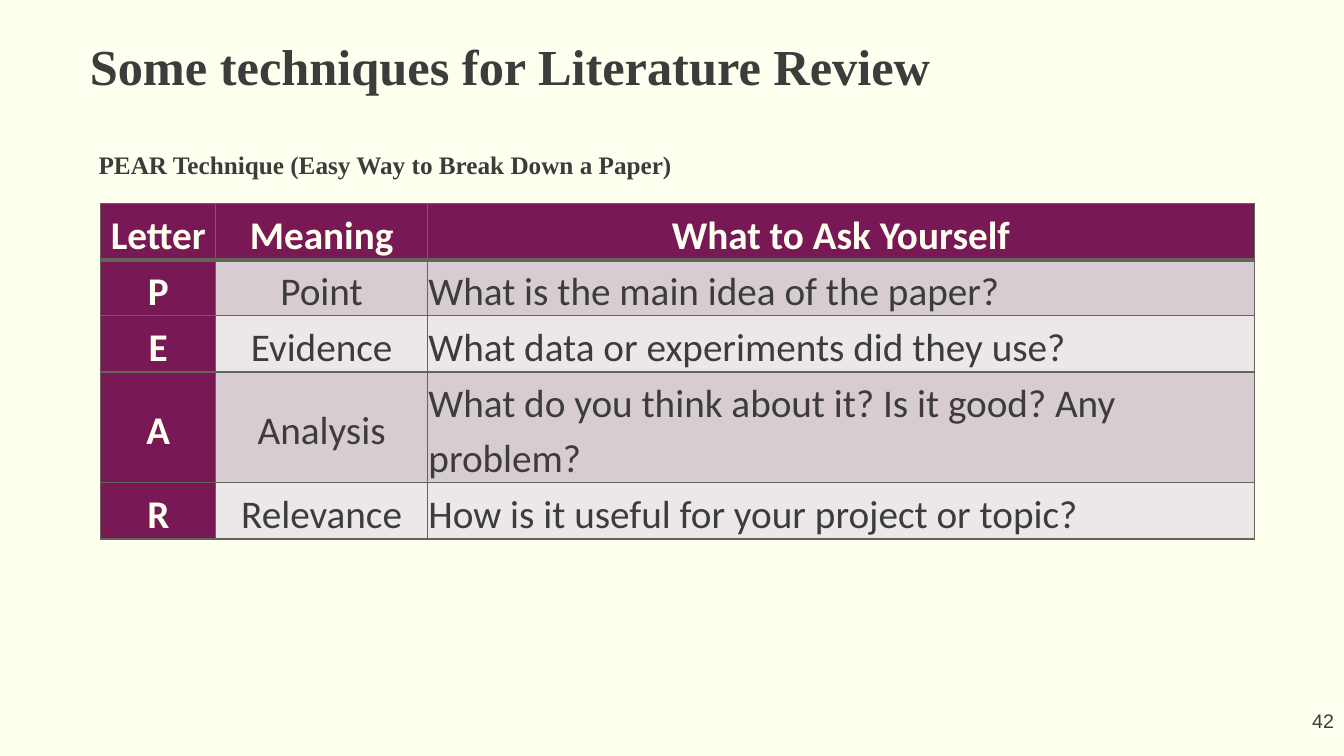
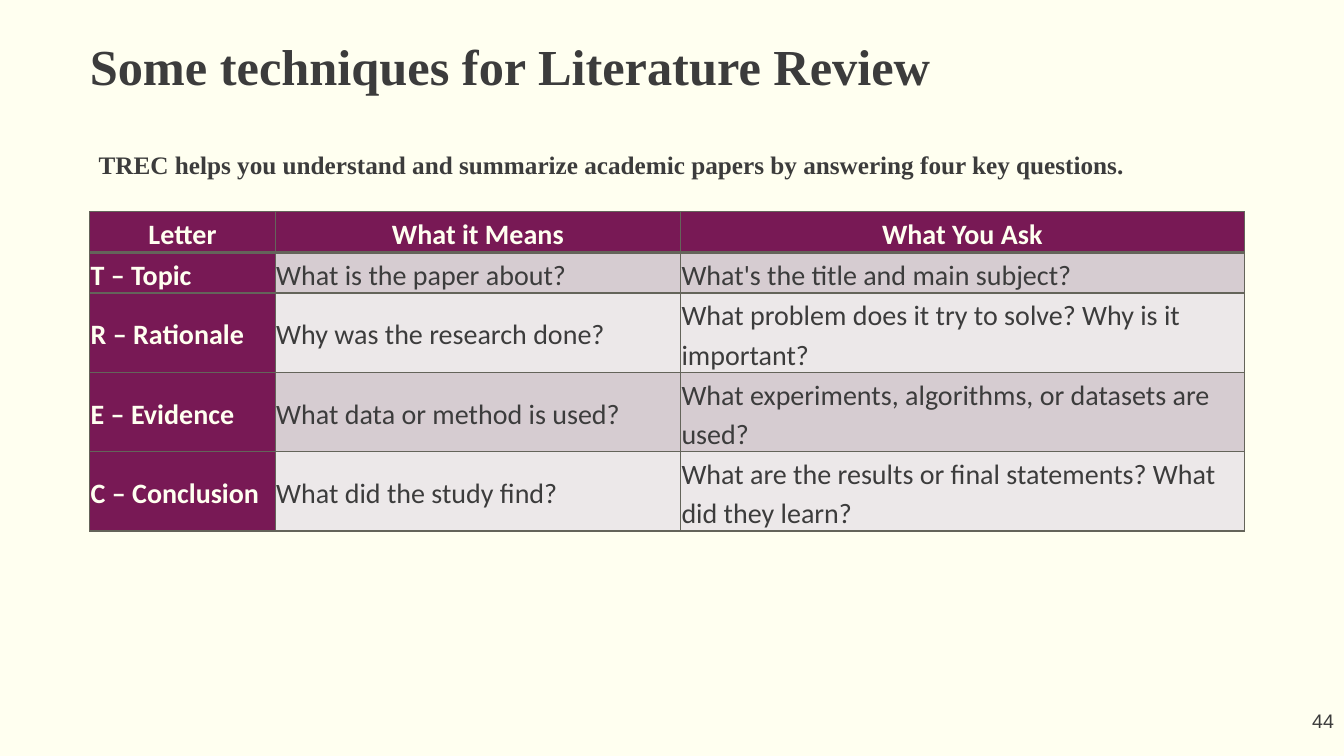
import pptx
import pptx.util
import pptx.dml.color
import pptx.enum.text
import pptx.oxml

Inches = pptx.util.Inches
Pt = pptx.util.Pt
ALIGN = pptx.enum.text.PP_ALIGN
ANCHOR = pptx.enum.text.MSO_ANCHOR

COLORS = {
    "background": "FFFFF0",
    "ink": "3C3C3C",
    "plum": "781955",
    "odd_row": "D6CCD1",
    "even_row": "ECE8E9",
    "grid": "64645A",
}
TITLE = "Some techniques for Literature Review"
TITLE_FONT = {"name": "Times New Roman", "size": Pt(36), "bold": True}
SUBTITLE_FONT = {"name": "Times New Roman", "size": Pt(18), "bold": True}
NUMBER_FONT = {"name": "Arial", "size": Pt(14), "bold": False}
SPACED = {"line_spacing": 1.15, "space_after": Pt(8)}
ZERO_MARGINS = dict.fromkeys(("margin_left", "margin_top", "margin_right", "margin_bottom"), 0)
CELL_FORMAT = {name: Inches(0.01) for name in ZERO_MARGINS} | {"vertical_anchor": ANCHOR.MIDDLE}

TECHNIQUES = [
    {
        "number": "42",
        "subtitle": "PEAR Technique (Easy Way to Break Down a Paper)",
        "subtitle_width": 6.67,
        "left": 1, "top": 2.02, "size": 28, "line_height": 0.55,
        "columns": [1.14, 2.1, 8.2],
        "lines": [1, 1, 1, 2, 1],
        "alignment": [ALIGN.CENTER, ALIGN.CENTER, ALIGN.LEFT],
        "rows": [
            ["Letter", "Meaning", "What to Ask Yourself"],
            ["P", "Point", "What is the main idea of the paper?"],
            ["E", "Evidence", "What data or experiments did they use?"],
            ["A", "Analysis", "What do you think about it? Is it good? Any problem?"],
            ["R", "Relevance", "How is it useful for your project or topic?"],
        ],
    },
    {
        "number": "44",
        "subtitle": "TREC helps you understand and summarize academic papers by answering four key questions.",
        "subtitle_width": 10.91,
        "left": 0.89, "top": 2.1, "size": 20, "line_height": 0.39,
        "columns": [1.84, 4.02, 5.59],
        "lines": [1, 1, 2, 2, 2],
        "alignment": [ALIGN.LEFT] * 3,
        "rows": [
            ["Letter", "What it Means", "What You Ask"],
            ["T – Topic", "What is the paper about?", "What's the title and main subject?"],
            ["R – Rationale", "Why was the research done?",
             "What problem does it try to solve? Why is it important?"],
            ["E – Evidence", "What data or method is used?",
             "What experiments, algorithms, or datasets are used?"],
            ["C – Conclusion", "What did the study find?",
             "What are the results or final statements? What did they learn?"],
        ],
    },
]


def write(frame, text, font, color, paragraph_format):
    paragraph = frame.paragraphs[0]
    run = paragraph.add_run()
    run.text = text
    for target, values in ((run.font, font), (paragraph, paragraph_format)):
        for name, value in values.items():
            setattr(target, name, value)
    run.font.color.rgb = pptx.dml.color.RGBColor.from_string(COLORS[color])


def add_borders(cell, widths):
    properties = cell._tc.get_or_add_tcPr()
    for side, width in widths.items():
        properties.append(pptx.oxml.parse_xml(
            f'<a:ln{side} xmlns:a="http://schemas.openxmlformats.org/drawingml/2006/main" '
            f'w="{Pt(width)}"><a:solidFill><a:srgbClr val="{COLORS["grid"]}"/></a:solidFill></a:ln{side}>'
        ))


deck = pptx.Presentation()
deck.slide_width, deck.slide_height = Inches(13.33), Inches(7.5)
backdrop = deck.slide_master.background.fill
backdrop.solid()
backdrop.fore_color.rgb = pptx.dml.color.RGBColor.from_string(COLORS["background"])

for technique in TECHNIQUES:
    slide = deck.slides.add_slide(deck.slide_layouts[5])

    title = slide.shapes.title
    title.left, title.top, title.width, title.height = map(Inches, (0.89, 0.35, 11.55, 0.94))
    title_format = ZERO_MARGINS | {
        "vertical_anchor": ANCHOR.TOP,
        "word_wrap": True,
        "auto_size": pptx.enum.text.MSO_AUTO_SIZE.NONE,
    }
    for name, value in title_format.items():
        setattr(title.text_frame, name, value)
    write(title.text_frame, TITLE, TITLE_FONT, "ink", {"alignment": ALIGN.LEFT})

    number = slide.shapes.add_textbox(*map(Inches, (10.22, 6.95, 3.11, 0.4))).text_frame
    number.word_wrap = True
    number.vertical_anchor = ANCHOR.MIDDLE
    write(number, technique["number"], NUMBER_FONT, "ink", {"alignment": ALIGN.RIGHT})

    subtitle = slide.shapes.add_textbox(
        *map(Inches, (0.88, 1.39, technique["subtitle_width"], 0.43))
    ).text_frame
    subtitle.word_wrap = True
    write(subtitle, technique["subtitle"], SUBTITLE_FONT, "ink", SPACED)

    rows, columns = technique["rows"], technique["columns"]
    heights = [lines * technique["line_height"] for lines in technique["lines"]]
    grid = slide.shapes.add_table(
        len(rows), len(columns),
        *map(Inches, (technique["left"], technique["top"], sum(columns), sum(heights)))
    ).table
    for column, width in zip(grid.columns, columns):
        column.width = Inches(width)

    for r, texts in enumerate(rows):
        grid.rows[r].height = Inches(heights[r])
        for c, text in enumerate(texts):
            cell = grid.cell(r, c)
            heading = r == 0 or c == 0
            for name, value in CELL_FORMAT.items():
                setattr(cell, name, value)
            add_borders(cell, {"L": 1, "R": 1, "T": 3 if r == 1 else 1, "B": 3 if r == 0 else 1})
            cell.fill.solid()
            fill = "plum" if heading else "odd_row" if r % 2 else "even_row"
            cell.fill.fore_color.rgb = pptx.dml.color.RGBColor.from_string(COLORS[fill])
            font = {"name": "Calibri", "size": Pt(technique["size"]), "bold": heading}
            alignment = technique["alignment"][c] if r else ALIGN.CENTER
            write(cell.text_frame, text, font, "background" if heading else "ink",
                  SPACED | {"alignment": alignment})

deck.save("out.pptx")
